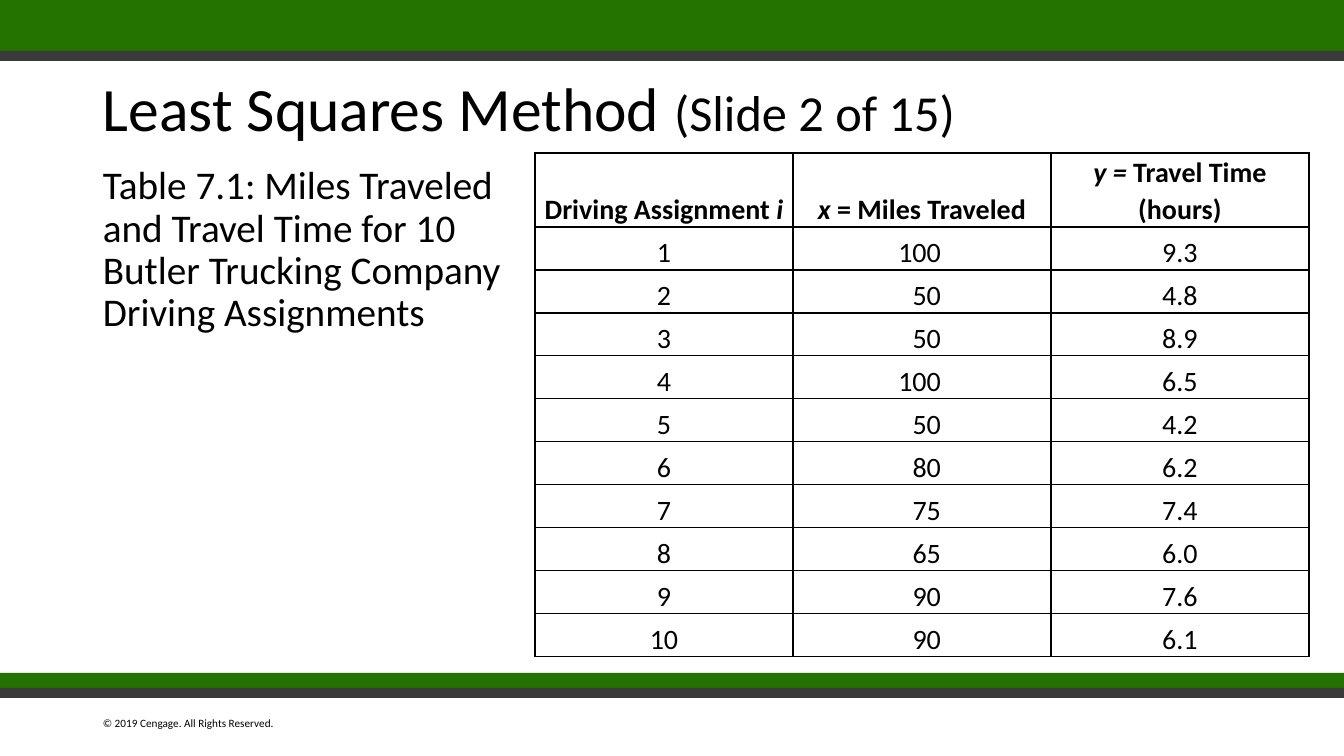
import pptx
import pptx.dml.color
import pptx.enum.shapes
import pptx.enum.text
import pptx.oxml
import pptx.oxml.ns
import pptx.util

RGBColor = pptx.dml.color.RGBColor
ALIGN = pptx.enum.text.PP_ALIGN
ANCHOR = pptx.enum.text.MSO_ANCHOR

BLACK = RGBColor(0x00, 0x00, 0x00)
GREEN = RGBColor(0x24, 0x73, 0x00)
DARK_GRAY = RGBColor(0x3B, 0x3B, 0x3B)
FOOT_GRAY = RGBColor(0x3A, 0x3A, 0x3A)

EMU_PER_PX = 914400 / 100.8
FONT = "Calibri"
LEFT = 93
COL_WIDTH = 258
HEADER_HEIGHT = 74
ROW_HEIGHT = 43
TAB_STOP = 141

BANDS = [
    (0, 51, GREEN),
    (51, 10, DARK_GRAY),
    (673, 15, GREEN),
    (688, 10, FOOT_GRAY),
]
HEADERS = [
    [("Driving Assignment ", False), ("i", True)],
    [("x ", True), ("= Miles Traveled", False)],
    [("y = ", True), ("Travel Time (hours)", False)],
]
MILES = [100, 50, 50, 100, 50, 80, 75, 65, 90, 90]
HOURS = [9.3, 4.8, 8.9, 6.5, 4.2, 6.2, 7.4, 6.0, 7.6, 6.1]


def px(n):
    return pptx.util.Emu(round(n * EMU_PER_PX))


def add_run(p, text, size=20, bold=False, italic=False, color=BLACK):
    r = p.add_run()
    r.text = text
    r.font.name = FONT
    r.font.size = pptx.util.Pt(size)
    r.font.bold = bold
    r.font.italic = italic
    r.font.color.rgb = color


def add_band(slide, top, height, color):
    sp = slide.shapes.add_shape(
        pptx.enum.shapes.MSO_SHAPE.RECTANGLE, 0, px(top), px(1344), px(height))
    sp.shadow.inherit = False
    sp.fill.solid()
    sp.fill.fore_color.rgb = color
    sp.line.fill.background()


def add_text(slide, box, runs, anchor=ANCHOR.TOP, spacing=1.0):
    tf = slide.shapes.add_textbox(*map(px, box)).text_frame
    tf.word_wrap = True
    tf.vertical_anchor = anchor
    p = tf.paragraphs[0]
    p.line_spacing = spacing
    for text, size in runs:
        add_run(p, text, size=size)


def add_borders(cell):
    tcPr = cell._tc.get_or_add_tcPr()
    ns = pptx.oxml.ns.nsdecls("a")
    for side in "LRTB":
        tcPr.append(pptx.oxml.parse_xml(
            f'<a:ln{side} {ns} w="12700"><a:solidFill>'
            f'<a:srgbClr val="{BLACK}"/></a:solidFill></a:ln{side}>'))


def fill_cell(cell, runs, bold=False, tab=None):
    add_borders(cell)
    cell.fill.background()
    cell.vertical_anchor = ANCHOR.BOTTOM
    cell.margin_left = cell.margin_right = px(7)
    cell.margin_top = cell.margin_bottom = 0
    p = cell.text_frame.paragraphs[0]
    if tab:
        ns = pptx.oxml.ns.nsdecls("a")
        p._p.get_or_add_pPr().append(pptx.oxml.parse_xml(
            f'<a:tabLst {ns}><a:tab pos="{px(tab)}" algn="r"/></a:tabLst>'))
    p.alignment = ALIGN.LEFT if tab else ALIGN.CENTER
    p.line_spacing = 1.07
    for text, italic in runs:
        add_run(p, text, bold=bold, italic=italic)


def add_trip_table(slide):
    rows, cols = len(MILES) + 1, len(HEADERS)
    height = HEADER_HEIGHT + ROW_HEIGHT * len(MILES)
    table = slide.shapes.add_table(
        rows, cols, px(535), px(153), px(COL_WIDTH * cols), px(height)).table
    table.first_row = False
    table.horz_banding = False
    for column in table.columns:
        column.width = px(COL_WIDTH)
    for i, row in enumerate(table.rows):
        row.height = px(ROW_HEIGHT if i else HEADER_HEIGHT)
    for c, runs in enumerate(HEADERS):
        fill_cell(table.cell(0, c), runs, bold=True)
    for i, (miles, hours) in enumerate(zip(MILES, HOURS), start=1):
        fill_cell(table.cell(i, 0), [(str(i), False)])
        fill_cell(table.cell(i, 1), [(f"\t{miles}", False)], tab=TAB_STOP)
        fill_cell(table.cell(i, 2), [(f"{hours:.1f}", False)])


def main():
    prs = pptx.Presentation()
    prs.slide_width, prs.slide_height = px(1344), px(756)
    slide = prs.slides.add_slide(prs.slide_layouts[6])
    add_text(slide, (LEFT, 711, 202, 23),
             [("© 2019 Cengage. All Rights Reserved.", 8)])
    for top, height, color in BANDS:
        add_band(slide, top, height, color)
    add_text(slide, (LEFT, 71, 1159, 81),
             [("Least Squares Method ", 44), ("(Slide 2 of 15)", 36)],
             anchor=ANCHOR.MIDDLE, spacing=0.9)
    add_text(slide, (LEFT, 161, 442, 217),
             [("Table 7.1: Miles Traveled and Travel Time for 10 "
               "Butler Trucking Company Driving Assignments", 28)], spacing=0.9)
    add_trip_table(slide)
    prs.save("out.pptx")


if __name__ == "__main__":
    main()
